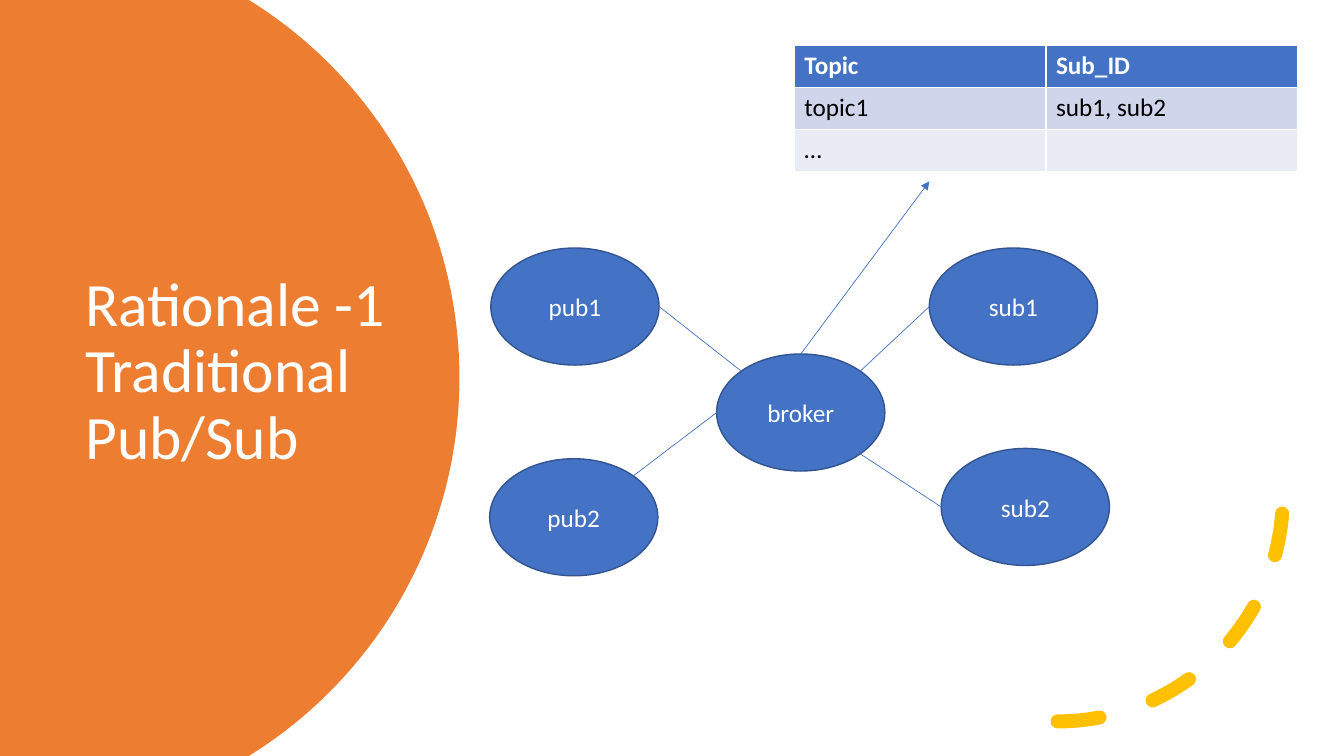
"""Build the slide explaining traditional publish/subscribe with a broker."""
import math

import lxml.etree
import pptx
import pptx.dml.color
import pptx.enum.dml
import pptx.enum.shapes
import pptx.enum.text
import pptx.oxml.ns
import pptx.util

Cm = pptx.util.Cm
Pt = pptx.util.Pt
qn = pptx.oxml.ns.qn
MSO_SHAPE = pptx.enum.shapes.MSO_SHAPE

COLORS = {
    "white": "FFFFFF",
    "black": "000000",
    "orange": "ED7D31",
    "gold": "FFC000",
    "blue": "4472C4",
    "outline": "325491",
    "band_dark": "CFD5EA",
    "band_light": "E9EBF5",
}


def color(name):
    return pptx.dml.color.RGBColor.from_string(COLORS[name])


def add_run(paragraph, text, size, color_name, bold=False):
    run = paragraph.add_run()
    run.text = text
    run.font.name = "Calibri"
    run.font.size = Pt(size)
    run.font.bold = bold
    run.font.color.rgb = color(color_name)


presentation = pptx.Presentation()
presentation.slide_width = Cm(33.87)
presentation.slide_height = Cm(19.05)
slide = presentation.slides.add_slide(presentation.slide_layouts[6])
shapes = slide.shapes

center_x, center_y, radius = 0.38, 9.525, 11.2
half_angle = math.asin(center_y / radius)
steps = 80
curve = []
for step in range(steps + 1):
    angle = half_angle * (2 * step / steps - 1)
    curve.append((Cm(center_x + radius * math.cos(angle)),
                  Cm(center_y + radius * math.sin(angle))))
builder = shapes.build_freeform(0, 0)
builder.add_line_segments(curve + [(0, Cm(19.05))], close=True)
panel = builder.convert_to_shape()
panel.shadow.inherit = False
panel.fill.solid()
panel.fill.fore_color.rgb = color("orange")
panel.line.fill.background()

title = shapes.add_textbox(Cm(1.9), Cm(3.2), Cm(8.9), Cm(12.4))
title.text_frame.word_wrap = True
title.text_frame.vertical_anchor = pptx.enum.text.MSO_ANCHOR.MIDDLE
paragraph = title.text_frame.paragraphs[0]
paragraph.line_spacing = 0.9
add_run(paragraph, "Rationale -1 Traditional Pub/Sub", 44, "white")

arc = shapes.add_shape(MSO_SHAPE.ARC, Cm(20.98), Cm(6.83), Cm(11.35), Cm(11.35))
arc.shadow.inherit = False
arc.fill.background()
arc.line.color.rgb = color("gold")
arc.line.width = Pt(10)
arc.line.dash_style = pptx.enum.dml.MSO_LINE.DASH
arc.element.spPr.find(qn("a:ln")).set("cap", "rnd")
arc.element.spPr.find(qn("a:xfrm")).set("flipV", "1")

node_width, node_height = 4.24, 2.95
nodes = {
    "pub2": (12.34, 11.56),
    "pub1": (12.37, 6.25),
    "broker": (18.06, 8.92),
    "sub1": (23.42, 6.25),
    "sub2": (23.72, 11.3),
}
for name, (left, top) in nodes.items():
    node = shapes.add_shape(MSO_SHAPE.OVAL, Cm(left), Cm(top),
                            Cm(node_width), Cm(node_height))
    node.shadow.inherit = False
    node.fill.solid()
    node.fill.fore_color.rgb = color("blue")
    node.line.color.rgb = color("outline")
    node.line.width = Pt(1)
    node.text_frame.vertical_anchor = pptx.enum.text.MSO_ANCHOR.MIDDLE
    paragraph = node.text_frame.paragraphs[0]
    paragraph.alignment = pptx.enum.text.PP_ALIGN.CENTER
    add_run(paragraph, name, 18, "white")

rows = [
    ("blue", "white", ("Topic", "Sub_ID")),
    ("band_dark", "black", ("topic1", "sub1, sub2")),
    ("band_light", "black", ("…", "")),
]
table = shapes.add_table(3, 2, Cm(20.02), Cm(1.14), Cm(12.68), Cm(3.18)).table
for row_index, (fill_name, text_color, texts) in enumerate(rows):
    for column_index, text in enumerate(texts):
        cell = table.cell(row_index, column_index)
        cell.fill.solid()
        cell.fill.fore_color.rgb = color(fill_name)
        if text:
            add_run(cell.text_frame.paragraphs[0], text, 18, text_color,
                    bold=row_index == 0)

links = [
    (("pub2", -45), ("broker", 180)),
    (("broker", -45), ("sub1", 180)),
    (("broker", 45), ("sub2", 180)),
    (("pub1", 0), ("broker", -135)),
    (("broker", -90), None),
]
for link in links:
    points = []
    for anchor in link:
        if anchor is None:
            points += [Cm(23.42), Cm(4.57)]
            continue
        name, degrees = anchor
        left, top = nodes[name]
        angle = math.radians(degrees)
        points += [Cm(left + node_width / 2 * (1 + math.cos(angle))),
                   Cm(top + node_height / 2 * (1 + math.sin(angle)))]
    connector = shapes.add_connector(
        pptx.enum.shapes.MSO_CONNECTOR.STRAIGHT, *points)
    connector.line.color.rgb = color("blue")
    connector.line.width = Pt(0.5)
    properties = connector.element.spPr
    lxml.etree.SubElement(properties, qn("a:effectLst"))
    if link[1] is None:
        lxml.etree.SubElement(properties.find(qn("a:ln")), qn("a:tailEnd"),
                              type="triangle")

presentation.save("out.pptx")
